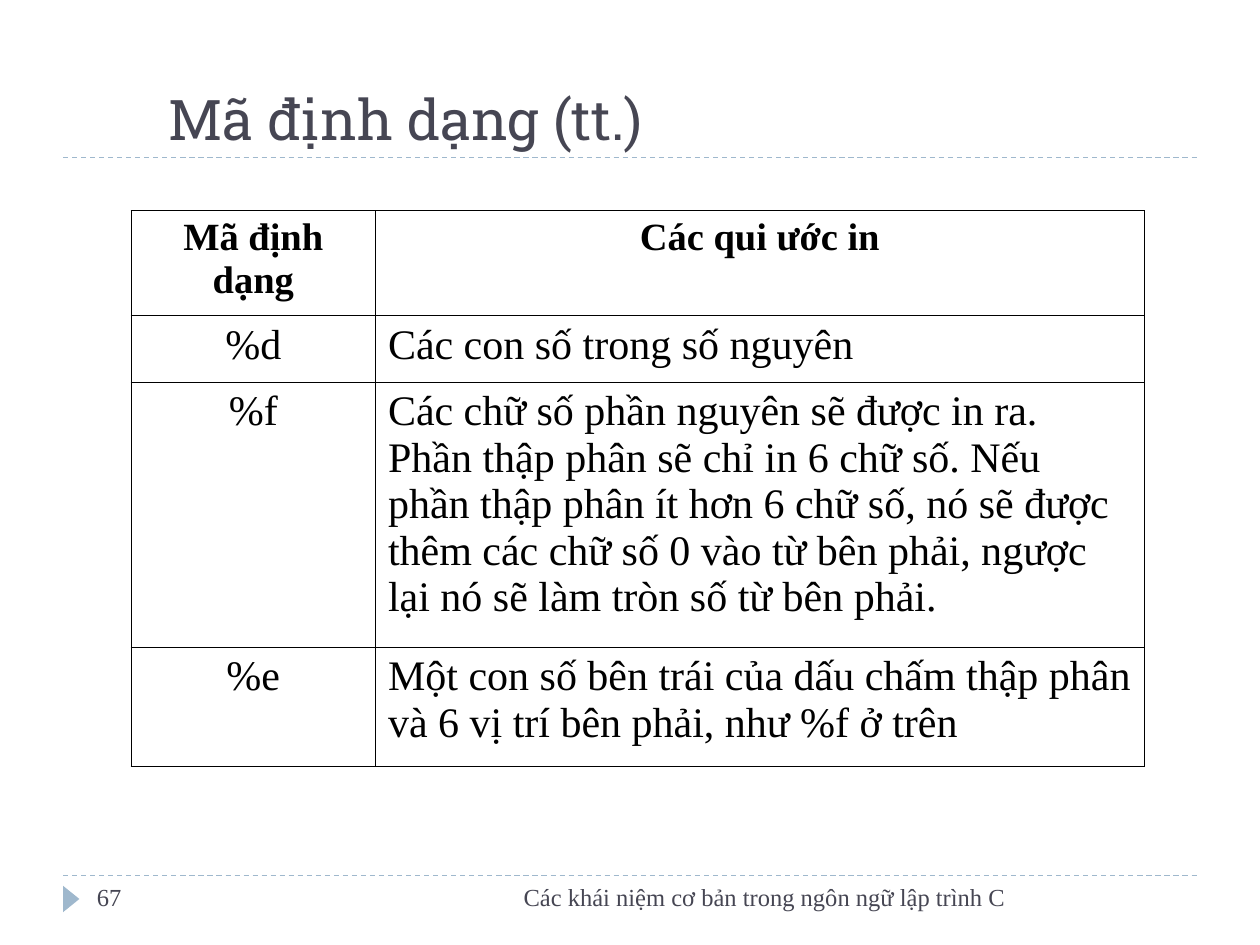
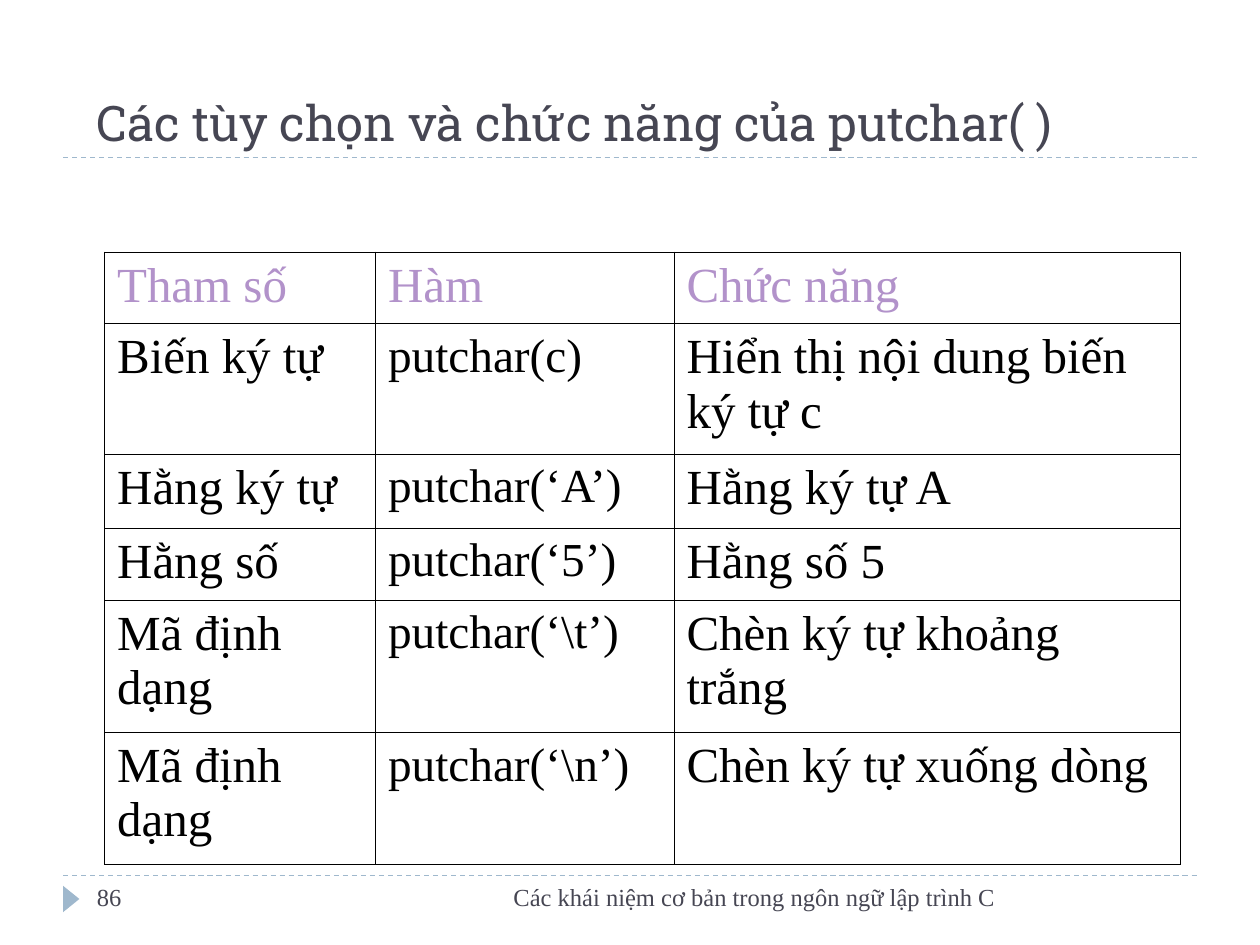
import pptx
import pptx.dml.color
import pptx.enum.dml
import pptx.enum.shapes
import pptx.enum.text
import pptx.oxml
import pptx.oxml.ns
import pptx.util
from pptx.util import Inches

RGBColor = pptx.dml.color.RGBColor
ALIGN = pptx.enum.text.PP_ALIGN
ANCHOR = pptx.enum.text.MSO_ANCHOR

SLATE = RGBColor(0x46, 0x46, 0x53)
BLUE = RGBColor(0x9F, 0xB8, 0xCD)
LILAC = RGBColor(0xB2, 0x92, 0xCA)
BLACK = RGBColor(0, 0, 0)
TITLE_FONT = "Roboto Slab"
BODY_FONT = "Times New Roman"
FOOTER = "Các khái niệm cơ bản trong ngôn ngữ lập trình C"
BORDER = (
    '<a:{0} xmlns:a="http://schemas.openxmlformats.org/drawingml/2006/main" w="5715">'
    '<a:solidFill><a:srgbClr val="{1}"/></a:solidFill></a:{0}>'
)

SLIDES = [
    {
        "title": "Mã định dạng (tt.)",
        "title_at": (1.24, 0.43, 7.26, 0.82),
        "title_size": 32,
        "number": "67",
        "footer_width": 4.91,
        "table_at": (1.04, 1.67),
        "columns": [1.94, 6.1],
        "rows": [0.83, 0.53, 2.1, 0.95],
        "head": {"size": 22, "bold": True, "align": ALIGN.CENTER},
        "body": [{"size": 24, "align": ALIGN.CENTER}, {"size": 24}],
        "cells": [
            ["Mã định dạng", "Các qui ước in"],
            ["%d", "Các con số trong số nguyên"],
            ["%f", "Các chữ số phần nguyên sẽ được in ra. Phần thập phân sẽ chỉ in "
                   "6 chữ số. Nếu phần thập phân ít hơn 6 chữ số, nó sẽ được thêm các "
                   "chữ số 0 vào từ bên phải, ngược lại nó sẽ làm tròn số từ bên phải."],
            ["%e", "Một con số bên trái của dấu chấm thập phân và 6 vị trí bên phải, "
                   "như %f ở trên"],
        ],
    },
    {
        "title": "Các tùy chọn và chức năng của putchar( )",
        "title_at": (0.67, -0.08, 8.83, 1.33),
        "title_size": 28,
        "number": "86",
        "footer_width": 4.83,
        "table_at": (0.83, 2),
        "columns": [2.15, 2.37, 4.02],
        "rows": [0.57, 1.03, 0.59, 0.57, 1.05, 1.05],
        "head": {"size": 28, "color": LILAC},
        "body": [{"size": 28}, {"size": 27}, {"size": 28}],
        "cells": [
            ["Tham số", "Hàm", "Chức năng"],
            ["Biến ký tự", "putchar(c)", "Hiển thị nội dung biến ký tự c"],
            ["Hằng ký tự", "putchar(‘A’)", "Hằng ký tự A"],
            ["Hằng số", "putchar(‘5’)", "Hằng số 5"],
            ["Mã định dạng", "putchar(‘\\t’)", "Chèn ký tự khoảng trắng"],
            ["Mã định dạng", "putchar(‘\\n’)", "Chèn ký tự xuống dòng"],
        ],
    },
]


def write(frame, text, size=14, font=BODY_FONT, color=BLACK, bold=False,
          align=ALIGN.LEFT, anchor=None):
    frame.word_wrap = True
    if anchor is not None:
        frame.vertical_anchor = anchor
    para = frame.paragraphs[0]
    para.alignment = align
    span = para.add_run()
    span.text = text
    span.font.size = pptx.util.Pt(size)
    span.font.name = font
    span.font.bold = bold
    span.font.color.rgb = color


def add_frame(page, left, top, width, height):
    """Add a text box and return its text frame."""
    box = page.shapes.add_textbox(Inches(left), Inches(top), Inches(width), Inches(height))
    return box.text_frame


deck = pptx.Presentation()
deck.slide_width = Inches(10)
deck.slide_height = Inches(7.5)

for content in SLIDES:
    page = deck.slides.add_slide(deck.slide_layouts[6])

    # Dashed rules and page marker
    for y in (6.95, 1.25):
        rule = page.shapes.add_connector(
            pptx.enum.shapes.MSO_CONNECTOR.STRAIGHT,
            Inches(0.5), Inches(y), Inches(9.5), Inches(y))
        rule.line.color.rgb = BLUE
        rule.line.width = pptx.util.Pt(0.75)
        rule.line.dash_style = pptx.enum.dml.MSO_LINE.DASH
        properties = rule._element.spPr
        properties.append(properties.makeelement(pptx.oxml.ns.qn("a:effectLst"), {}))
    marker = page.shapes.add_shape(
        pptx.enum.shapes.MSO_SHAPE.ISOSCELES_TRIANGLE,
        Inches(0.46), Inches(7.07), Inches(0.21), Inches(0.13))
    marker.rotation = 90
    marker.shadow.inherit = False
    marker.fill.solid()
    marker.fill.fore_color.rgb = BLUE
    marker.line.fill.background()

    write(add_frame(page, *content["title_at"]), content["title"],
          size=content["title_size"], font=TITLE_FONT, color=SLATE, anchor=ANCHOR.BOTTOM)

    # Table
    widths, heights = content["columns"], content["rows"]
    left, top = content["table_at"]
    table = page.shapes.add_table(
        len(heights), len(widths), Inches(left), Inches(top),
        Inches(sum(widths)), Inches(sum(heights))).table
    table.first_row = False
    table.horz_banding = False
    for column, width in zip(table.columns, widths):
        column.width = Inches(width)
    for row_index, (row, height) in enumerate(zip(table.rows, heights)):
        row.height = Inches(height)
        for column_index, cell in enumerate(row.cells):
            style = content["body"][column_index] if row_index else content["head"]
            write(cell.text_frame, content["cells"][row_index][column_index], **style)
            properties = cell._tc.get_or_add_tcPr()
            for side in ("lnL", "lnR", "lnT", "lnB"):
                properties.append(pptx.oxml.parse_xml(BORDER.format(side, BLACK)))
            cell.fill.background()

    # Footer
    write(add_frame(page, 3.17, 6.95, content["footer_width"], 0.4), FOOTER,
          color=SLATE, align=ALIGN.RIGHT)
    write(add_frame(page, 0.67, 6.95, 2.17, 0.4), content["number"], color=SLATE)

deck.save("out.pptx")
